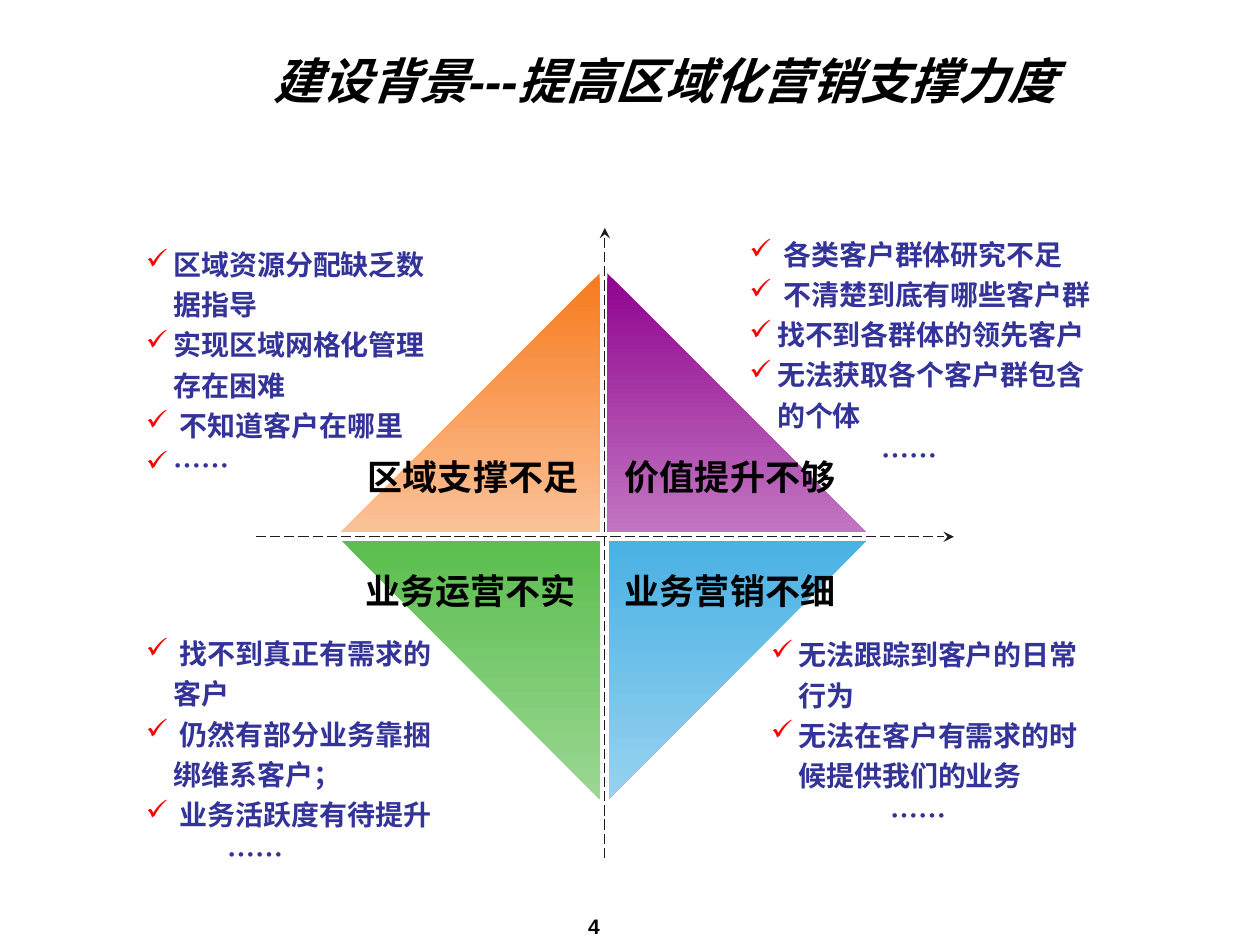
import pptx
import pptx.dml.color
import pptx.enum.dml
import pptx.enum.shapes
import pptx.enum.text
import pptx.oxml
import pptx.oxml.ns
import pptx.util

Inches = pptx.util.Inches
ALIGN = pptx.enum.text.PP_ALIGN
CJK = "Noto Sans CJK SC"
COLORS = {
    "black": "000000", "page": "040000", "note": "333399", "check": "FF0000", "axis": "1C1C1C",
    "orange": "F77A1D", "orange_light": "FBC298",
    "purple": "8F038F", "purple_light": "C276C2",
    "blue": "4AB1E4", "blue_light": "97D2EF",
    "green": "5BBE4E", "green_light": "9BD793",
}
LABELS = [
    ("区域支撑不足", 2.82, 3.56), ("价值提升不够", 4.86, 3.56),
    ("业务运营不实", 2.8, 4.47), ("业务营销不细", 4.86, 4.47),
]
NOTES = [
    (1.06, 1.86, 2.44, 2.02, None,
     ["区域资源分配缺乏数据指导", "实现区域网格化管理存在困难", " 不知道客户在哪里", "……"]),
    (5.85, 1.78, 2.93, 2.02, 1.05,
     [" 各类客户群体研究不足", " 不清楚到底有哪些客户群", "找不到各群体的领先客户", "无法获取各个客户群包含的个体"]),
    (1.06, 4.95, 2.52, 2.02, 0.65,
     [" 找不到真正有需求的客户", " 仍然有部分业务靠捆绑维系客户；", " 业务活跃度有待提升"]),
    (6.02, 4.96, 2.76, 1.7, 0.95,
     ["无法跟踪到客户的日常行为", "无法在客户有需求的时候提供我们的业务"]),
]


def rgb(name):
    return pptx.dml.color.RGBColor.from_string(COLORS[name])


def add_xml(parent, tag, **attributes):
    child = pptx.oxml.parse_xml(f"<a:{tag} {pptx.oxml.ns.nsdecls('a')}/>")
    for key, value in attributes.items():
        child.set(key, value)
    parent.append(child)
    return child


def style(paragraph, size, color, face=CJK, italic=None):
    font = paragraph.font
    font.size = pptx.util.Pt(size)
    font.bold = True
    font.italic = italic
    font.color.rgb = rgb(color)
    font.name = face
    add_xml(font._element, "ea", typeface=CJK)


def add_frame(slide, left, top, width, height, wrap=True):
    frame = slide.shapes.add_textbox(Inches(left), Inches(top), Inches(width), Inches(height)).text_frame
    frame.word_wrap = wrap
    return frame


def add_label(slide, text, left, top, width, height, size, color="black",
              align=ALIGN.CENTER, wrap=False, **font):
    frame = add_frame(slide, left, top, width, height, wrap)
    frame.vertical_anchor = pptx.enum.text.MSO_ANCHOR.MIDDLE
    label = frame.paragraphs[0]
    label.text = text
    label.alignment = align
    style(label, size, color, **font)


def set_indent(paragraph, margin, indent):
    properties = paragraph._p.get_or_add_pPr()
    properties.set("marL", str(Inches(margin)))
    properties.set("indent", str(Inches(indent)))
    return properties


def add_notes(slide, left, top, width, height, ellipsis_indent, notes):
    frame = add_frame(slide, left, top, width, height)
    lines = notes + (["……"] if ellipsis_indent else [])
    for index, text in enumerate(lines):
        note = frame.paragraphs[0] if index == 0 else frame.add_paragraph()
        note.text = text
        note.line_spacing = 1.2
        if index < len(notes):
            properties = set_indent(note, 0.22, -0.22)
            add_xml(add_xml(properties, "buClr"), "srgbClr", val=COLORS["check"])
            add_xml(properties, "buChar", char="✓")
        else:
            set_indent(note, ellipsis_indent, 0)
        style(note, 16, "note")


def add_quadrant(slide, left, top, color, angle, rotation=0, flip=False):
    quadrant = slide.shapes.add_shape(
        pptx.enum.shapes.MSO_SHAPE.RIGHT_TRIANGLE, Inches(left), Inches(top), Inches(2.05), Inches(2.05))
    quadrant.shadow.inherit = False
    quadrant.rotation = rotation
    if flip:
        quadrant._element.spPr.xfrm.set("flipH", "1")
    quadrant.fill.gradient()
    quadrant.fill.gradient_angle = angle
    for stop, shade in zip(quadrant.fill.gradient_stops, (color, color + "_light")):
        stop.color.rgb = rgb(shade)
    quadrant.line.fill.background()


def add_axis(slide, x1, y1, x2, y2, arrow_end):
    axis = slide.shapes.add_connector(
        pptx.enum.shapes.MSO_CONNECTOR.STRAIGHT, Inches(x1), Inches(y1), Inches(x2), Inches(y2))
    axis.line.color.rgb = rgb("axis")
    axis.line.width = pptx.util.Pt(0.75)
    axis.line.dash_style = pptx.enum.dml.MSO_LINE.LONG_DASH
    add_xml(axis.line._get_or_add_ln(), arrow_end, type="stealth")
    add_xml(axis._element.spPr, "effectLst")


def main():
    deck = pptx.Presentation()
    deck.slide_width, deck.slide_height = Inches(10), Inches(7.5)
    slide = deck.slides.add_slide(deck.slide_layouts[6])

    add_label(slide, "4", 4.28, 7.2, 0.87, 0.3, 12, "page", face="Arial")
    add_label(slide, "建设背景---提高区域化营销支撑力度", 2.07, 0.36, 7.57, 0.55, 28,
              align=ALIGN.LEFT, wrap=True, face="Arial", italic=True)

    add_quadrant(slide, 2.71, 2.17, "orange", 270, flip=True)
    add_axis(slide, 4.8, 1.81, 4.8, 6.82, "headEnd")
    add_quadrant(slide, 4.82, 2.17, "purple", 270)
    add_quadrant(slide, 4.83, 4.29, "blue", 0, rotation=90)
    add_quadrant(slide, 2.71, 4.29, "green", 0, rotation=270, flip=True)
    add_axis(slide, 2.03, 4.26, 7.57, 4.26, "tailEnd")

    for text, left, top in LABELS:
        add_label(slide, text, left, top, 1.87, 0.44, 20)
    for block in NOTES:
        add_notes(slide, *block)

    deck.save("out.pptx")


if __name__ == "__main__":
    main()
